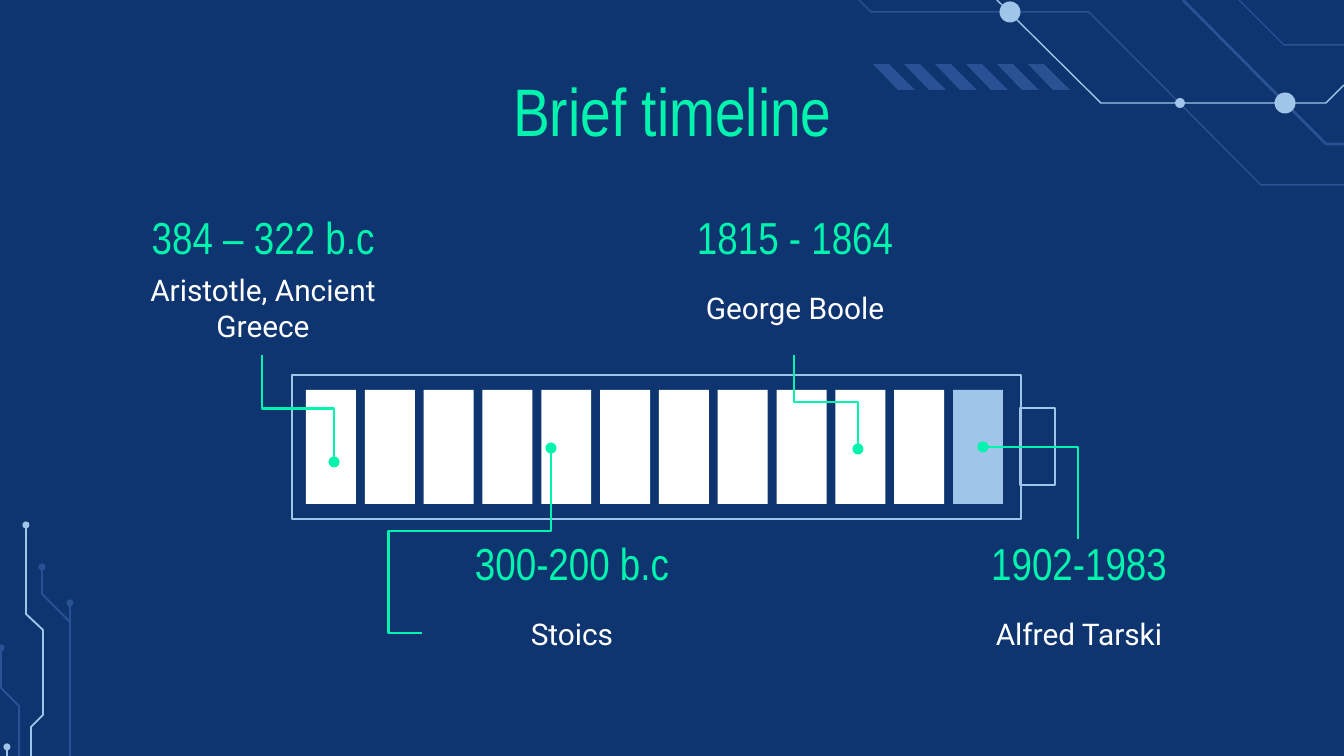
from lxml import etree
from pptx import Presentation
from pptx.dml.color import RGBColor
from pptx.enum.shapes import MSO_CONNECTOR, MSO_SHAPE
from pptx.enum.text import MSO_ANCHOR, MSO_AUTO_SIZE, PP_ALIGN
from pptx.oxml.ns import qn
from pptx.util import Pt

EMU_PER_PX = 914400 / 134.4
RECT, OVAL = MSO_SHAPE.RECTANGLE, MSO_SHAPE.OVAL
ELBOW = MSO_CONNECTOR.ELBOW
TOP, MIDDLE = MSO_ANCHOR.TOP, MSO_ANCHOR.MIDDLE
CENTER = PP_ALIGN.CENTER
NO_FIT = MSO_AUTO_SIZE.NONE

NAVY, BLUE, LIGHT = "0F3570", "285293", "9FC5E8"
GREEN, WHITE = "00F4AD", "FFFFFF"
HEAD_FONT, BODY_FONT = "Arial Narrow", "Roboto"

# Circuit traces: colour, line width in points, corner points
CORNER_TRACES = [
    (BLUE, 1.5, [(1183, 0), (1326, 144), (1344, 144)]),
    (LIGHT, 0.75, [(997, 0), (1101, 103), (1326, 103), (1344, 85)]),
    (BLUE, 0.75, [(859, 0), (871, 12), (1089, 12), (1261, 185), (1344, 185)]),
    (BLUE, 0.75, [(1239, 0), (1284, 45), (1344, 45)]),
]
CORNER_DOTS = [(1180, 103, 10), (1010, 12, 21), (1285, 103, 21)]
# Each of these starts with a dot
SIDE_TRACES = [
    (LIGHT, [(26, 525), (26, 614), (43, 630), (43, 715), (31, 727), (31, 756)]),
    (BLUE, [(70, 603), (70, 756)]),
    (BLUE, [(42, 567), (42, 594), (70, 622)]),
    (BLUE, [(1, 648), (1, 688), (19, 706), (19, 756)]),
    (LIGHT, [(7, 747), (7, 756)]),
]
# Left, top, width, date, name
EVENTS = [
    (641, 213, 308, "1815 - 1864", "George Boole"),
    (113, 213, 300, "384 – 322 b.c", "Aristotle, Ancient Greece"),
    (925, 539, 308, "1902-1983", "Alfred Tarski"),
    (422, 539, 300, "300-200 b.c", "Stoics"),
]
# Start, end, quarter turns, preset, adjustments
LEADERS = [
    ((262, 355), (334, 462), 3, "bentConnector3", [50000]),
    ((1078, 539), (983, 447), 1, "bentConnector2", []),
    ((422, 633), (551, 448), 2, "bentConnector4", [-26100, 55100]),
    ((794, 355), (858, 449), 3, "bentConnector3", [50000]),
]


def px(n):
    return round(n * EMU_PER_PX)


def rgb(color):
    return RGBColor.from_string(color)


def paint(sp, fill=None, line=None, width=0.75):
    sp.shadow.inherit = False
    if fill:
        sp.fill.solid()
        sp.fill.fore_color.rgb = rgb(fill)
    else:
        sp.fill.background()
    if line:
        sp.line.color.rgb = rgb(line)
        sp.line.width = Pt(width)
    else:
        sp.line.fill.background()


def add_preset(slide, kind, x, y, w, h, fill=None, line=None):
    sp = slide.shapes.add_shape(kind, px(x), px(y), px(w), px(h))
    paint(sp, fill, line)


def add_dot(slide, x, y, size, color):
    add_preset(slide, OVAL, x - size / 2, y - size / 2, size, size, color)


def add_outline(slide, points, close=False, **style):
    builder = slide.shapes.build_freeform(*points[0], scale=EMU_PER_PX)
    builder.add_line_segments(points[1:], close=close)
    paint(builder.convert_to_shape(), **style)


def format_text(sp, text, font, size, color, anchor):
    tf = sp.text_frame
    tf.word_wrap = True
    tf.auto_size = NO_FIT
    tf.margin_left = tf.margin_right = tf.margin_top = tf.margin_bottom = 0
    tf.vertical_anchor = anchor
    tf.text = text
    p = tf.paragraphs[0]
    p.alignment = CENTER
    r = p.runs[0]
    r.font.name = font
    r.font.size = Pt(size)
    r.font.color.rgb = rgb(color)


def add_label(slide, x, y, w, h, text, font, size, color):
    sp = slide.shapes.add_textbox(px(x), px(y), px(w), px(h))
    format_text(sp, text, font, size, color, MIDDLE)


def add_leader(slide, start, end, turns, preset, adjustments):
    # Turn the end points back about the centre, then rotate the connector
    cx, cy = (start[0] + end[0]) / 2, (start[1] + end[1]) / 2
    dx, dy = start[0] - cx, start[1] - cy
    for _ in range(turns):
        dx, dy = dy, -dx
    line = slide.shapes.add_connector(
        ELBOW, px(cx + dx), px(cy + dy), px(cx - dx), px(cy - dy))
    line.line.color.rgb = rgb(GREEN)
    line.line.width = Pt(1.5)

    sp_pr = line._element.spPr
    sp_pr.find(qn("a:xfrm")).set("rot", str(turns * 5400000))
    geom = sp_pr.find(qn("a:prstGeom"))
    geom.set("prst", preset)
    guides = geom.find(qn("a:avLst"))
    for i, value in enumerate(adjustments, 1):
        name = "adj1" if len(adjustments) == 1 else f"adj{i}"
        etree.SubElement(guides, qn("a:gd"), name=name, fmla=f"val {value}")
    etree.SubElement(sp_pr.find(qn("a:ln")), qn("a:tailEnd"), type="oval")
    etree.SubElement(sp_pr, qn("a:effectLst"))


def add_circuits(slide):
    for color, width, points in CORNER_TRACES:
        add_outline(slide, points, line=color, width=width)
    for x, y, size in CORNER_DOTS:
        add_dot(slide, x, y, size, LIGHT)
    for i in range(6):
        x = 873 + 31 * i
        stripe = [(x, 64), (x + 25, 90), (x + 42, 90), (x + 16, 64)]
        add_outline(slide, stripe, close=True, fill=BLUE)
    for color, points in SIDE_TRACES:
        add_outline(slide, points, line=color, width=1)
        add_dot(slide, *points[0], 7, color)


def add_battery(slide):
    add_preset(slide, RECT, 292, 375, 729, 144, line=LIGHT)
    add_preset(slide, RECT, 1020, 408, 35, 77, line=LIGHT)
    cells, first, last = 12, 306, 953
    step = (last - first) / (cells - 1)
    for i in range(cells):
        color = LIGHT if i == cells - 1 else WHITE
        add_preset(slide, RECT, first + i * step, 390, 50, 114, color)


def main():
    prs = Presentation()
    prs.slide_width, prs.slide_height = px(1344), px(756)
    slide = prs.slides.add_slide(prs.slide_layouts[5])
    slide.background.fill.solid()
    slide.background.fill.fore_color.rgb = rgb(NAVY)

    # Title
    title = slide.shapes.title
    title.left, title.top, title.width, title.height = map(px, (106, 69, 1133, 71))
    format_text(title, "Brief timeline", HEAD_FONT, 36, GREEN, TOP)

    # Decoration and battery
    add_circuits(slide)
    add_battery(slide)

    # Events and their leader lines
    for x, y, w, date, name in EVENTS:
        add_label(slide, x, y + 47, w, 95, name, BODY_FONT, 16, WHITE)
        add_label(slide, x, y, w, 47, date, HEAD_FONT, 24, GREEN)
    for leader in LEADERS:
        add_leader(slide, *leader)

    prs.save("out.pptx")


if __name__ == "__main__":
    main()
